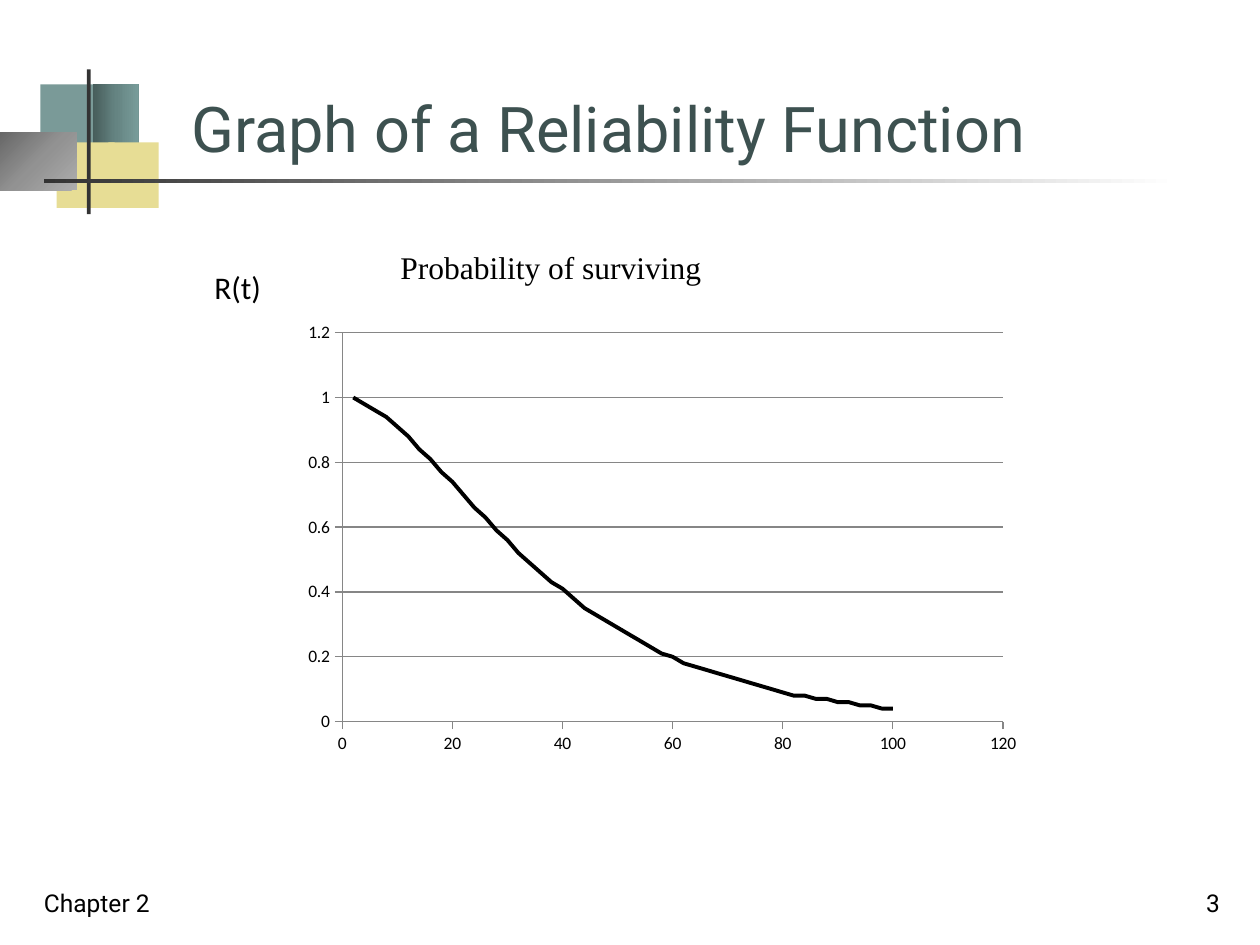
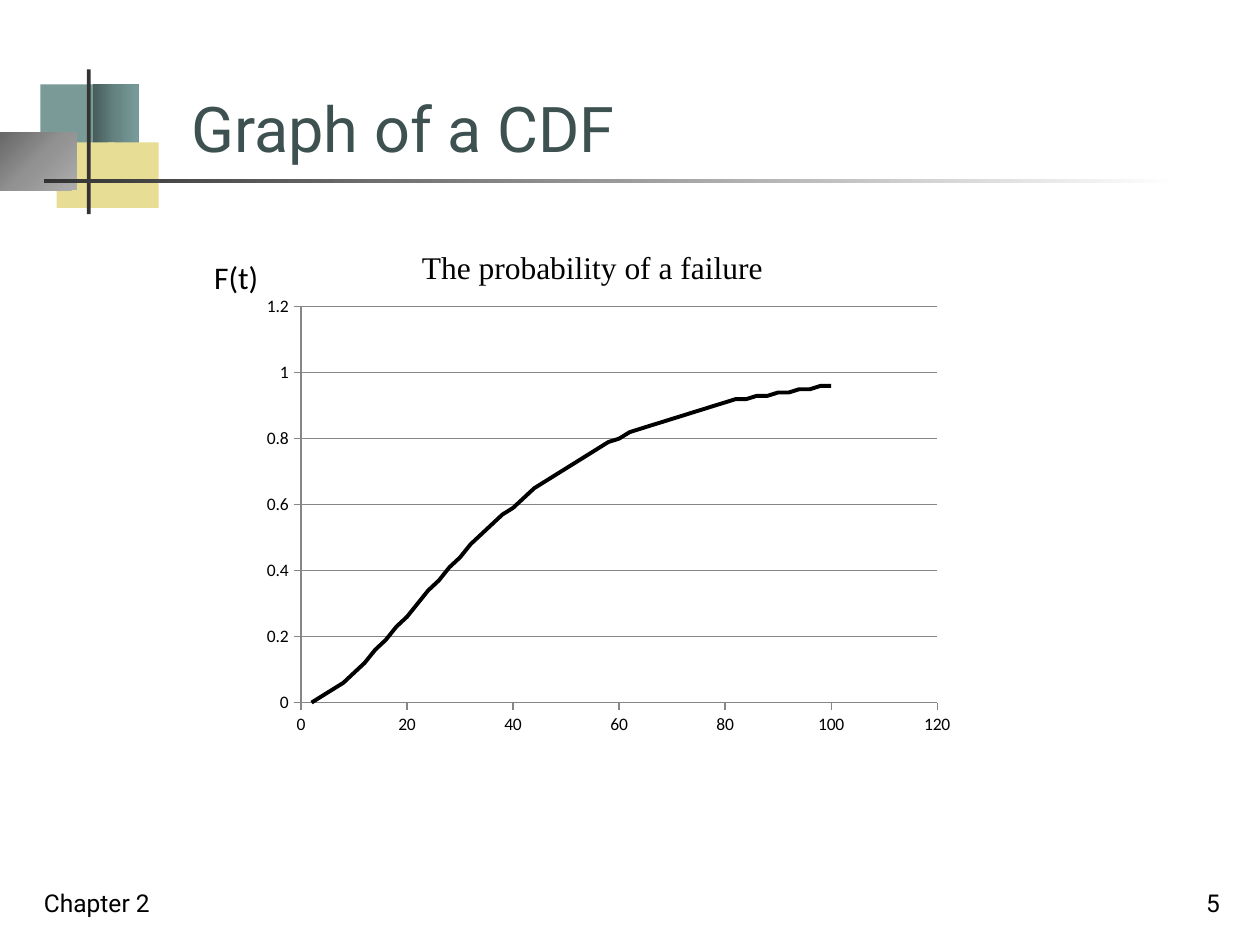
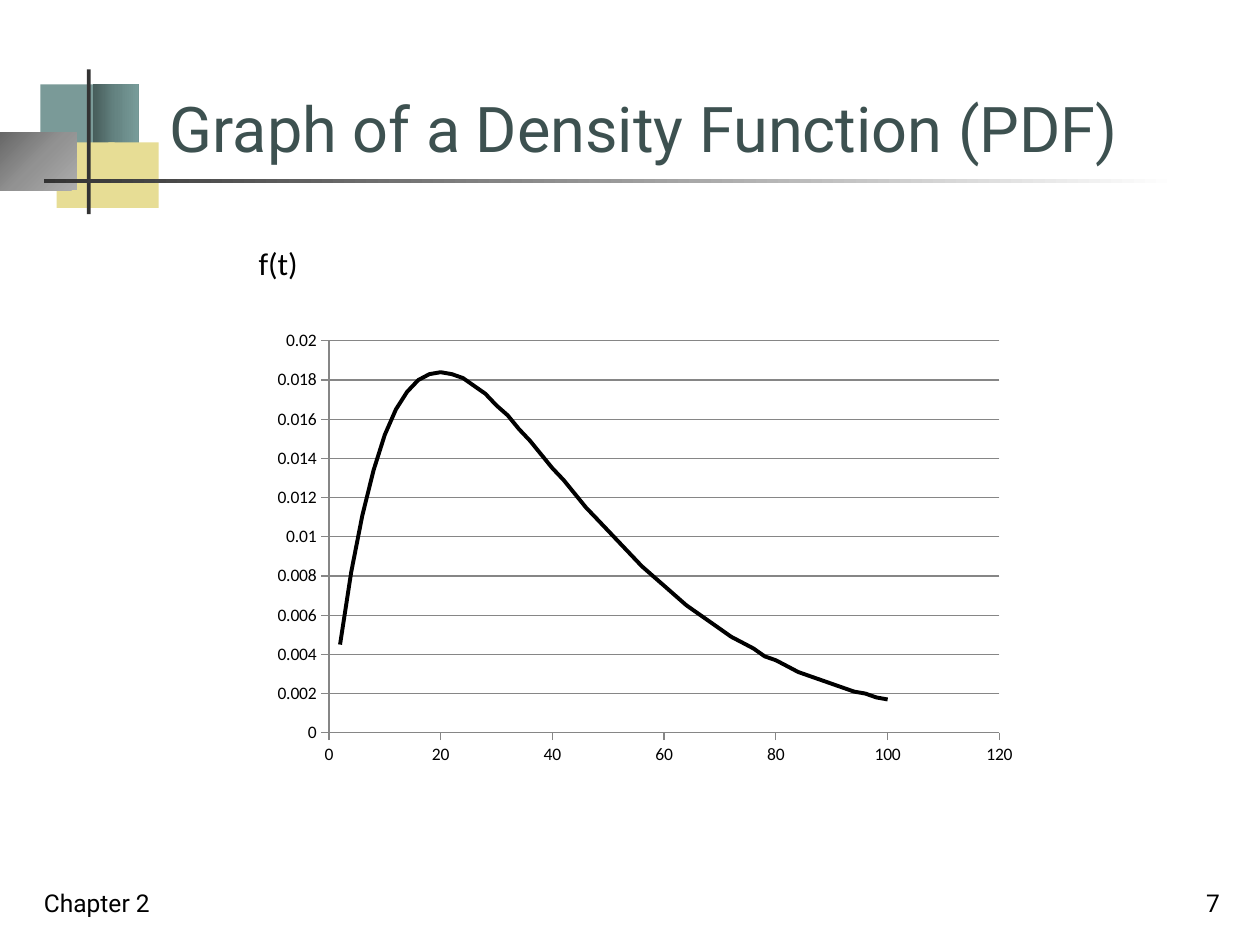
import dataclasses
import math
from typing import Callable, Optional

import pptx
import pptx.chart.data
import pptx.dml.color
import pptx.enum.chart
import pptx.enum.shapes
import pptx.enum.text
import pptx.oxml
import pptx.oxml.ns
import pptx.util
from pptx.dml.color import RGBColor
from pptx.util import Inches

BLACK = RGBColor(0x00, 0x00, 0x00)
WHITE = RGBColor(0xFF, 0xFF, 0xFF)
TITLE_GREEN = RGBColor(0x3D, 0x51, 0x50)
TEAL = RGBColor(0x7A, 0x9A, 0x98)
TEAL_FADE = (RGBColor(0x47, 0x5D, 0x5B), RGBColor(0x65, 0x84, 0x82), RGBColor(0x78, 0x9C, 0x9A))
YELLOW = RGBColor(0xE7, 0xDD, 0x95)
GREY_FADE = (RGBColor(0x67, 0x67, 0x67), RGBColor(0x92, 0x92, 0x92), RGBColor(0xAD, 0xAD, 0xAD))
CHARCOAL = RGBColor(0x33, 0x33, 0x33)
AXIS_GREY = RGBColor(0x86, 0x86, 0x86)

HEADING_FONT = "Roboto"
CHART_FONT = "Calibri"
CAPTION_FONT = "Times New Roman"

MEAN_STEP = 20  # scale of the failure-time distribution
TIMES = range(2, 101, 2)

Box = tuple[float, float, float, float]


@dataclasses.dataclass(frozen=True)
class Block:
    """A decorative rectangle; several colours make a gradient."""
    box: Box
    colours: tuple[RGBColor, ...]
    radial: bool = False


@dataclasses.dataclass(frozen=True)
class Caption:
    text: str
    box: Box


@dataclasses.dataclass(frozen=True)
class Curve:
    """Plot box and label position are fractions of the chart box."""
    label: str
    series: str
    function: Callable[[int], float]
    digits: int
    top: float
    step: float
    box: Box
    plot: Box
    label_at: tuple[float, float]


@dataclasses.dataclass(frozen=True)
class GraphSlide:
    title: str
    title_box: Box
    number: int
    curve: Curve
    caption: Optional[Caption] = None


def reliability(t: int) -> float:
    return (1 + t / MEAN_STEP) * math.exp(-t / MEAN_STEP)


def failure(t: int) -> float:
    return 1 - reliability(t)


def density(t: int) -> float:
    return t / MEAN_STEP ** 2 * math.exp(-t / MEAN_STEP)


BLOCKS = (
    Block((0.32, 0.67, 0.48, 0.52), (TEAL,)),
    Block((0.74, 0.67, 0.36, 0.52), TEAL_FADE),
    Block((0.45, 1.13, 0.46, 0.52), (YELLOW,)),
    Block((0.86, 1.13, 0.40, 0.52), (YELLOW,)),
    Block((0, 1.05, 0.61, 0.46), GREY_FADE, radial=True),
    Block((0.69, 0.55, 0.03, 1.15), (CHARCOAL,)),
    Block((0.35, 1.42, 9, 0.03), (CHARCOAL, WHITE)),
)

SLIDES = (
    GraphSlide(
        "Graph of a Reliability Function", (1.42, 0.67, 8, 0.69), 3,
        Curve("R(t)", "R(t)", reliability, 2, 1.2, 0.2, (1.42, 1.75, 6.75, 4.5),
              (0.192, 0.198, 0.777, 0.686), (0.035, 0.07)),
        Caption("Probability of surviving", (3.08, 1.92, 2.61, 0.4))),
    GraphSlide(
        "Graph of a CDF", (1.42, 0.67, 7.92, 0.69), 5,
        Curve("F(t)", "Series 1", failure, 2, 1.2, 0.2, (1.42, 1.67, 6.5, 4.58),
              (0.149, 0.167, 0.777, 0.686), (0.036, 0.068)),
        Caption("The probability of a failure", (3.25, 1.92, 2.94, 0.4))),
    GraphSlide(
        "Graph of a Density Function (PDF)", (1.25, 0.67, 8.33, 0.69), 7,
        Curve("f(t)", "f(t)", density, 4, 0.02, 0.002, (1.75, 1.67, 6.42, 4.75),
              (0.134, 0.218, 0.829, 0.655), (0.04, 0.043))),
)


def inches(box: Box) -> list[pptx.util.Length]:
    return [Inches(length) for length in box]


def style_font(font, name: str, size: float, colour: RGBColor) -> None:
    font.name = name
    font.size = pptx.util.Pt(size)
    font.bold = False
    font.color.rgb = colour


def fill_gradient(shape, colours: tuple[RGBColor, ...], radial: bool) -> None:
    """Spread the colours evenly, left to right or out from the top left corner."""
    last = len(colours) - 1
    stops = "".join(
        f'<a:gs pos="{100000 * i // last}"><a:srgbClr val="{colour}"/></a:gs>'
        for i, colour in enumerate(colours))
    direction = ('<a:path path="circle"><a:fillToRect l="0" t="0" r="100000" b="100000"/></a:path>'
                 if radial else '<a:lin ang="0" scaled="1"/>')
    gradient = pptx.oxml.parse_xml(
        f'<a:gradFill {pptx.oxml.ns.nsdecls("a")} rotWithShape="1">'
        f'<a:gsLst>{stops}</a:gsLst>{direction}</a:gradFill>')
    shape.fill.background()
    properties = shape._element.spPr
    properties.replace(properties.find(pptx.oxml.ns.qn("a:noFill")), gradient)


def add_block(slide, block: Block) -> None:
    shape = slide.shapes.add_shape(pptx.enum.shapes.MSO_SHAPE.RECTANGLE, *inches(block.box))
    shape.shadow.inherit = False
    shape.line.fill.background()
    if len(block.colours) > 1:
        fill_gradient(shape, block.colours, block.radial)
    else:
        shape.fill.solid()
        shape.fill.fore_color.rgb = block.colours[0]


def add_text(slide, text: str, box: Box, font: str, size: float, colour: RGBColor = BLACK,
             align=pptx.enum.text.PP_ALIGN.LEFT, anchor=pptx.enum.text.MSO_ANCHOR.BOTTOM,
             wrap: bool = True) -> None:
    frame = slide.shapes.add_textbox(*inches(box)).text_frame
    frame.word_wrap = wrap
    frame.vertical_anchor = anchor
    paragraph = frame.paragraphs[0]
    paragraph.alignment = align
    run = paragraph.add_run()
    run.text = text
    style_font(run.font, font, size, colour)


def set_layout(parent, index: int, inner: bool, **fractions: float) -> None:
    """Place a chart part by fractions x, y, w and h of the chart box."""
    for old in parent.findall(pptx.oxml.ns.qn("c:layout")):
        parent.remove(old)
    target = '<c:layoutTarget val="inner"/>' if inner else ""
    modes = '<c:xMode val="edge"/><c:yMode val="edge"/>'
    places = "".join(f'<c:{key} val="{value}"/>' for key, value in fractions.items())
    parent.insert(index, pptx.oxml.parse_xml(
        f'<c:layout {pptx.oxml.ns.nsdecls("c")}><c:manualLayout>'
        f'{target}{modes}{places}</c:manualLayout></c:layout>'))


def style_axis(axis, top: float, step: float, grid: bool) -> None:
    axis.minimum_scale = 0
    axis.maximum_scale = top
    axis.major_unit = step
    axis.major_tick_mark = pptx.enum.chart.XL_TICK_MARK.OUTSIDE
    axis.minor_tick_mark = pptx.enum.chart.XL_TICK_MARK.NONE
    axis.has_major_gridlines = grid
    lines = [axis.format.line]
    if grid:
        lines.append(axis.major_gridlines.format.line)
    for line in lines:
        line.color.rgb = AXIS_GREY
        line.width = pptx.util.Pt(0.75)
    axis.tick_labels.number_format = "General"
    axis.tick_labels.number_format_is_linked = False
    style_font(axis.tick_labels.font, CHART_FONT, 10, BLACK)


def add_curve(slide, curve: Curve) -> None:
    data = pptx.chart.data.XyChartData()
    points = data.add_series(curve.series)
    for t in TIMES:
        points.add_data_point(t, round(curve.function(t), curve.digits))
    chart = slide.shapes.add_chart(
        pptx.enum.chart.XL_CHART_TYPE.XY_SCATTER_LINES_NO_MARKERS, *inches(curve.box), data).chart
    style_font(chart.font, CHART_FONT, 10, BLACK)
    chart.has_legend = False

    chart.has_title = True
    label = chart.chart_title.text_frame.paragraphs[0].add_run()
    label.text = curve.label
    style_font(label.font, CHART_FONT, 18, BLACK)
    x, y = curve.label_at
    set_layout(chart.chart_title._element, 1, False, x=x, y=y)

    x, y, w, h = curve.plot
    set_layout(chart._chartSpace.chart.plotArea, 0, True, x=x, y=y, w=w, h=h)
    style_axis(chart.category_axis, 120, 20, False)
    style_axis(chart.value_axis, curve.top, curve.step, True)

    series = chart.plots[0].series[0]
    series.smooth = False
    series.marker.style = pptx.enum.chart.XL_MARKER_STYLE.NONE
    series.format.line.color.rgb = BLACK
    series.format.line.width = pptx.util.Pt(2.25)


def add_graph_slide(deck, graph: GraphSlide) -> None:
    slide = deck.slides.add_slide(deck.slide_layouts[6])
    for block in BLOCKS:
        add_block(slide, block)
    add_text(slide, graph.title, graph.title_box, HEADING_FONT, 36, TITLE_GREEN)
    add_text(slide, "Chapter 2", (0.25, 6.83, 2.08, 0.5), HEADING_FONT, 14)
    add_text(slide, str(graph.number), (7.7, 6.83, 2.08, 0.5), HEADING_FONT, 14,
             align=pptx.enum.text.PP_ALIGN.RIGHT)
    add_curve(slide, graph.curve)
    if graph.caption:
        add_text(slide, graph.caption.text, graph.caption.box, CAPTION_FONT, 18,
                 anchor=pptx.enum.text.MSO_ANCHOR.TOP, wrap=False)


def main() -> None:
    deck = pptx.Presentation()
    deck.slide_width = Inches(10)
    deck.slide_height = Inches(7.5)
    for graph in SLIDES:
        add_graph_slide(deck, graph)
    deck.save("out.pptx")


if __name__ == "__main__":
    main()
